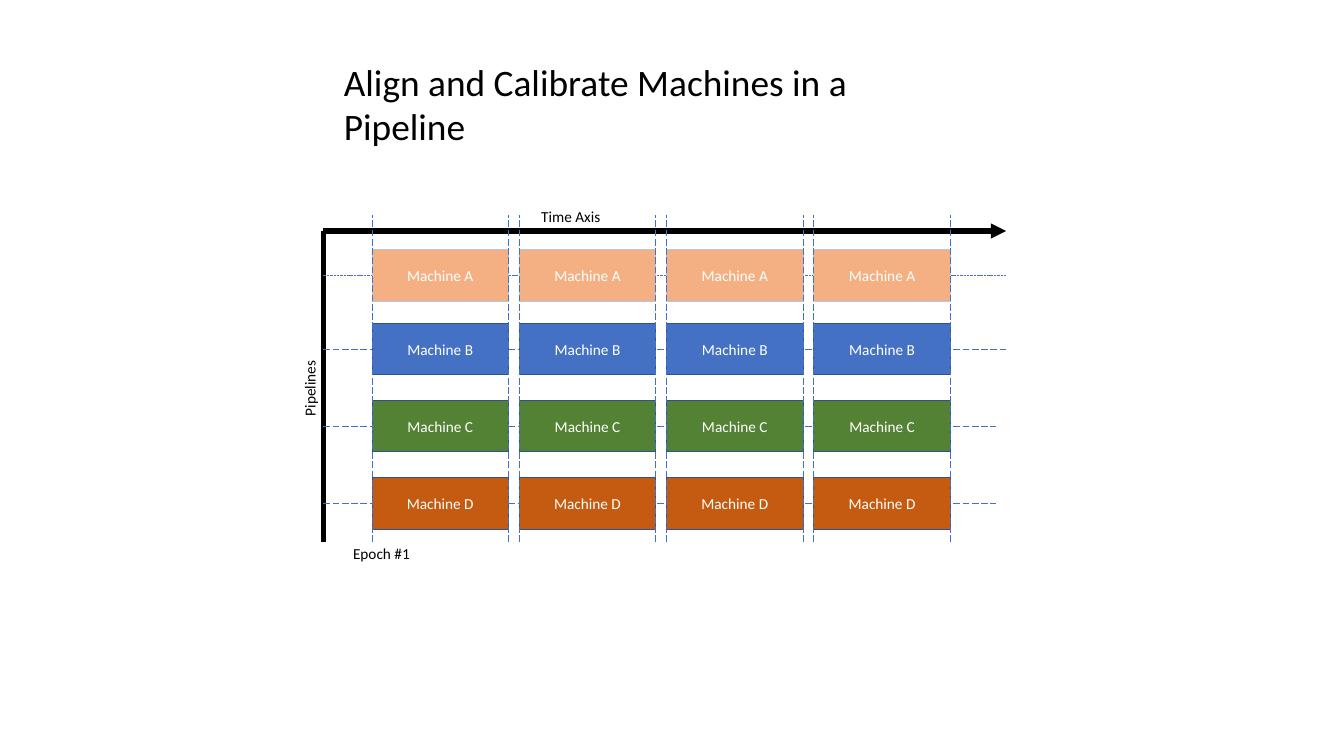
from pptx import Presentation
from pptx.dml.color import RGBColor
from pptx.enum.dml import MSO_LINE
from pptx.enum.shapes import MSO_CONNECTOR, MSO_SHAPE
from pptx.enum.text import MSO_ANCHOR, PP_ALIGN
from pptx.oxml.ns import qn
from pptx.util import Cm, Pt
from lxml.etree import SubElement


def write(shape, text, size, color, anchor, align, spacing=None):
    frame = shape.text_frame
    frame_format = {
        "margin_left": 0, "margin_right": 0, "margin_top": 0,
        "margin_bottom": 0, "word_wrap": True, "vertical_anchor": anchor,
    }
    for name, value in frame_format.items():
        setattr(frame, name, value)
    paragraph = frame.paragraphs[0]
    paragraph.alignment = align
    paragraph.line_spacing = spacing
    run = paragraph.add_run()
    run.text = text
    run.font.name = "Calibri"
    run.font.size = Pt(size)
    run.font.color.rgb = RGBColor.from_string(color)


def draw_line(x1, y1, x2, y2, color, width, dash=None):
    line = slide.shapes.add_connector(
        MSO_CONNECTOR.STRAIGHT, Cm(x1), Cm(y1), Cm(x2), Cm(y2))
    line.line.color.rgb = RGBColor.from_string(color)
    line.line.width = Pt(width)
    line.line.dash_style = dash
    SubElement(line._element.spPr, qn("a:effectLst"))
    return line


deck = Presentation()
deck.slide_width = Cm(55.85)
deck.slide_height = Cm(31.42)
slide = deck.slides.add_slide(deck.slide_layouts[6])

AXIS_LEFT, AXIS_TOP, AXIS_RIGHT, AXIS_BOTTOM = 13.44, 9.6, 41.81, 22.53
FIRST_LEFT, EPOCH_PITCH, EPOCHS = 15.46, 6.12, 4
MACHINE_WIDTH, MACHINE_HEIGHT = 5.67, 2.13
GUIDE_TOP = 8.92
GUIDE_COLOR = "4471C4"

machines = [
    ("Machine A", 10.38, "F4B083", "B4C6E7", AXIS_RIGHT, MSO_LINE.SQUARE_DOT),
    ("Machine B", 13.45, "4471C4", "2E528F", AXIS_RIGHT, MSO_LINE.LONG_DASH),
    ("Machine C", 16.65, "538235", "2E528F", 41.4, MSO_LINE.LONG_DASH),
    ("Machine D", 19.86, "C55A11", "2E528F", 41.4, MSO_LINE.LONG_DASH),
]

labels = [
    ("Align and Calibrate Machines in a Pipeline", 14.29, 2.44, 26.06, 3.8, 44, None),
    ("Time Axis", 22.49, 8.62, 2.54, 0.84, 18, None),
    ("Pipelines", 12.6, 14.8, 0.71, 2.5, 18, Pt(18.1)),
    ("Epoch #1", 14.67, 22.73, 2.44, 0.71, 18, Pt(18.1)),
]
for text, left, top, width, height, size, spacing in labels:
    label = slide.shapes.add_textbox(Cm(left), Cm(top), Cm(width), Cm(height))
    write(label, text, size, "000000", MSO_ANCHOR.TOP, PP_ALIGN.LEFT, spacing)
    if text == "Pipelines":
        label.text_frame._txBody.bodyPr.set("vert", "vert270")

draw_line(AXIS_LEFT, AXIS_TOP, AXIS_LEFT, AXIS_BOTTOM, "000000", 6)
time_axis = draw_line(AXIS_LEFT, AXIS_TOP, AXIS_RIGHT, AXIS_TOP, "000000", 6)
SubElement(time_axis.line._get_or_add_ln(), qn("a:tailEnd"), type="triangle")

for name, top, fill, border, row_end, dash in machines:
    middle = top + MACHINE_HEIGHT / 2
    draw_line(AXIS_LEFT, middle, row_end, middle, GUIDE_COLOR, 1, dash)
    for epoch in range(EPOCHS):
        machine = slide.shapes.add_shape(
            MSO_SHAPE.RECTANGLE, Cm(FIRST_LEFT + epoch * EPOCH_PITCH), Cm(top),
            Cm(MACHINE_WIDTH), Cm(MACHINE_HEIGHT))
        machine.shadow.inherit = False
        machine.fill.solid()
        machine.fill.fore_color.rgb = RGBColor.from_string(fill)
        machine.line.color.rgb = RGBColor.from_string(border)
        machine.line.width = Pt(1)
        write(machine, name, 18, "FFFFFF", MSO_ANCHOR.MIDDLE, PP_ALIGN.CENTER)

for epoch in range(EPOCHS):
    for offset in (0, MACHINE_WIDTH):
        x = FIRST_LEFT + epoch * EPOCH_PITCH + offset
        draw_line(x, AXIS_BOTTOM, x, GUIDE_TOP, GUIDE_COLOR, 1, MSO_LINE.LONG_DASH)

deck.save("out.pptx")
